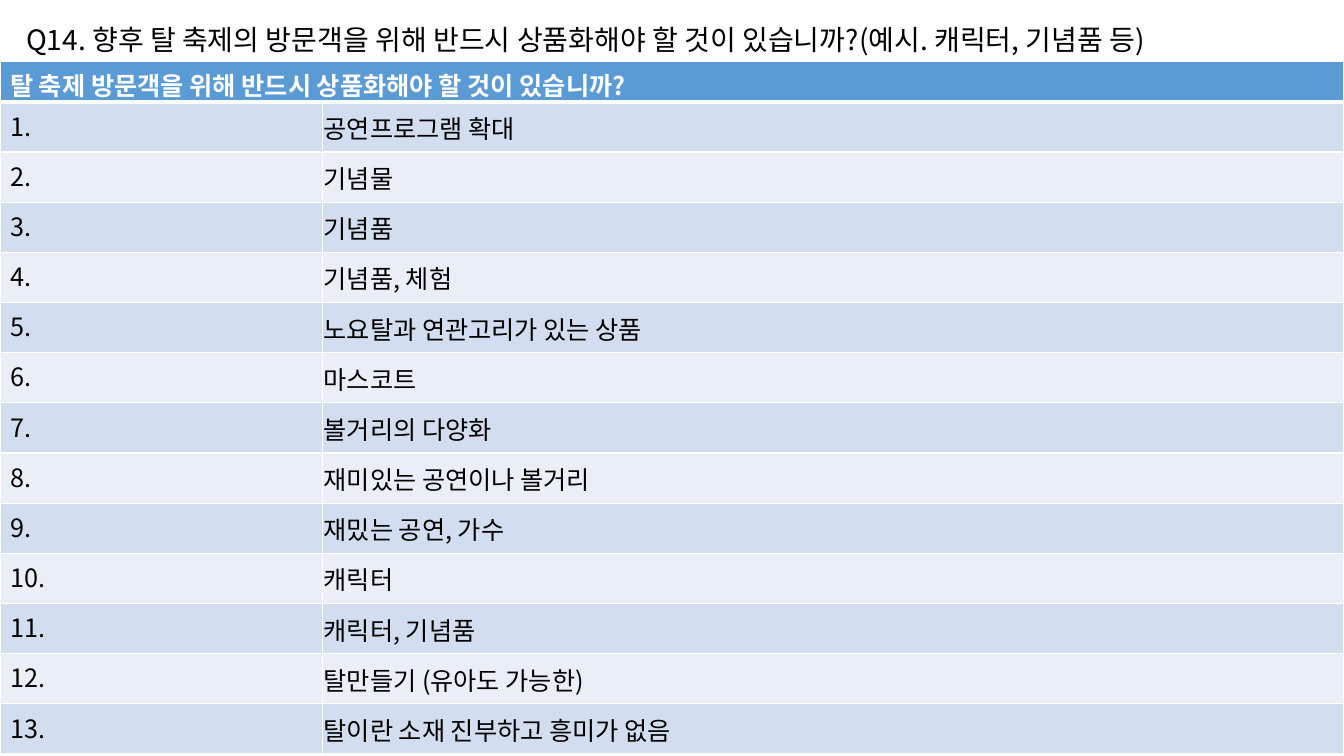
from lxml import etree
from pptx import Presentation
from pptx.dml.color import RGBColor
from pptx.enum.text import MSO_ANCHOR, MSO_AUTO_SIZE, PP_ALIGN
from pptx.oxml.ns import qn
from pptx.util import Inches, Pt

TOP, MIDDLE = MSO_ANCHOR.TOP, MSO_ANCHOR.MIDDLE
GROW = MSO_AUTO_SIZE.SHAPE_TO_FIT_TEXT
LEFT = PP_ALIGN.LEFT

FONT = "Noto Sans CJK KR"
BLACK = RGBColor(0x00, 0x00, 0x00)
WHITE = RGBColor(0xFF, 0xFF, 0xFF)
HEADER_BLUE = RGBColor(0x5B, 0x9B, 0xD5)
BAND_DARK = RGBColor(0xD2, 0xDE, 0xEF)
BAND_LIGHT = RGBColor(0xEA, 0xEF, 0xF7)

TITLE_ONLY_LAYOUT = 5
SLIDE_WIDTH = 13.33
TABLE_TOP = 0.61
TABLE_HEIGHT = 6.85
HEADER_HEIGHT = 0.38
NUMBER_WIDTH = 3.2

QUESTION = "Q14. 향후 탈 축제의 방문객을 위해 반드시 상품화해야 할 것이 있습니까?(예시. 캐릭터, 기념품 등)"
HEADER = "탈 축제 방문객을 위해 반드시 상품화해야 할 것이 있습니까?"
ANSWERS = [
    "공연프로그램 확대",
    "기념물",
    "기념품",
    "기념품, 체험",
    "노요탈과 연관고리가 있는 상품",
    "마스코트",
    "볼거리의 다양화",
    "재미있는 공연이나 볼거리",
    "재밌는 공연, 가수",
    "캐릭터",
    "캐릭터, 기념품",
    "탈만들기 (유아도 가능한)",
    "탈이란 소재 진부하고 흥미가 없음",
]


def set_text(text_frame, text, size, color, bold=False):
    text_frame.text = text
    paragraph = text_frame.paragraphs[0]
    paragraph.alignment = LEFT
    paragraph.line_spacing = 1.0
    font = paragraph.runs[0].font
    font.size = Pt(size)
    font.bold = bold
    font.color.rgb = color
    font.name = FONT
    east_asian = etree.SubElement(font._element, qn("a:ea"))
    east_asian.set("typeface", FONT)


def set_borders(cell, bottom_width):
    """Draw white borders; only the bottom one varies in width."""
    properties = cell._tc.get_or_add_tcPr()
    sides = {"a:lnL": 1, "a:lnR": 1, "a:lnT": 1, "a:lnB": bottom_width}
    for position, (side, width) in enumerate(sides.items()):
        line = etree.Element(qn(side), w=str(Pt(width)))
        fill = etree.SubElement(line, qn("a:solidFill"))
        etree.SubElement(fill, qn("a:srgbClr"), val=str(WHITE))
        properties.insert(position, line)


def style_cell(cell, fill_color, bottom_width=1):
    cell.fill.solid()
    cell.fill.fore_color.rgb = fill_color
    set_borders(cell, bottom_width)


def add_question(slide):
    title = slide.shapes.title
    title.left, title.top = Inches(0.16), Inches(0.17)
    title.width, title.height = Inches(12.59), Inches(0.44)
    text_frame = title.text_frame
    text_frame.word_wrap = False
    text_frame.auto_size = GROW
    text_frame.vertical_anchor = TOP
    set_text(text_frame, QUESTION, 20, BLACK)


def add_answer_table(slide):
    frame = slide.shapes.add_table(
        len(ANSWERS) + 1, 2, Inches(0), Inches(TABLE_TOP),
        Inches(SLIDE_WIDTH), Inches(TABLE_HEIGHT))
    table = frame.table
    table.columns[0].width = Inches(NUMBER_WIDTH)
    table.columns[1].width = Inches(SLIDE_WIDTH - NUMBER_WIDTH)
    table.rows[0].height = Inches(HEADER_HEIGHT)

    header = table.cell(0, 0)
    header.merge(table.cell(0, 1))
    set_text(header.text_frame, HEADER, 18, WHITE, bold=True)
    for column in range(2):
        style_cell(table.cell(0, column), HEADER_BLUE, bottom_width=3)

    answer_height = Inches((TABLE_HEIGHT - HEADER_HEIGHT) / len(ANSWERS))
    for number, answer in enumerate(ANSWERS, start=1):
        table.rows[number].height = answer_height
        band = BAND_DARK if number % 2 else BAND_LIGHT
        for column, text in enumerate((f"{number}.", answer)):
            cell = table.cell(number, column)
            set_text(cell.text_frame, text, 18, BLACK)
            style_cell(cell, band)
        answer_cell = table.cell(number, 1)
        answer_cell.vertical_anchor = MIDDLE
        answer_cell.margin_left = answer_cell.margin_right = Inches(0.01)
        answer_cell.margin_top = Inches(0.01)
        answer_cell.margin_bottom = Inches(0)


def main():
    presentation = Presentation()
    presentation.slide_width = Inches(SLIDE_WIDTH)
    presentation.slide_height = Inches(7.5)
    layout = presentation.slide_layouts[TITLE_ONLY_LAYOUT]
    slide = presentation.slides.add_slide(layout)
    add_question(slide)
    add_answer_table(slide)
    presentation.save("out.pptx")


if __name__ == "__main__":
    main()
